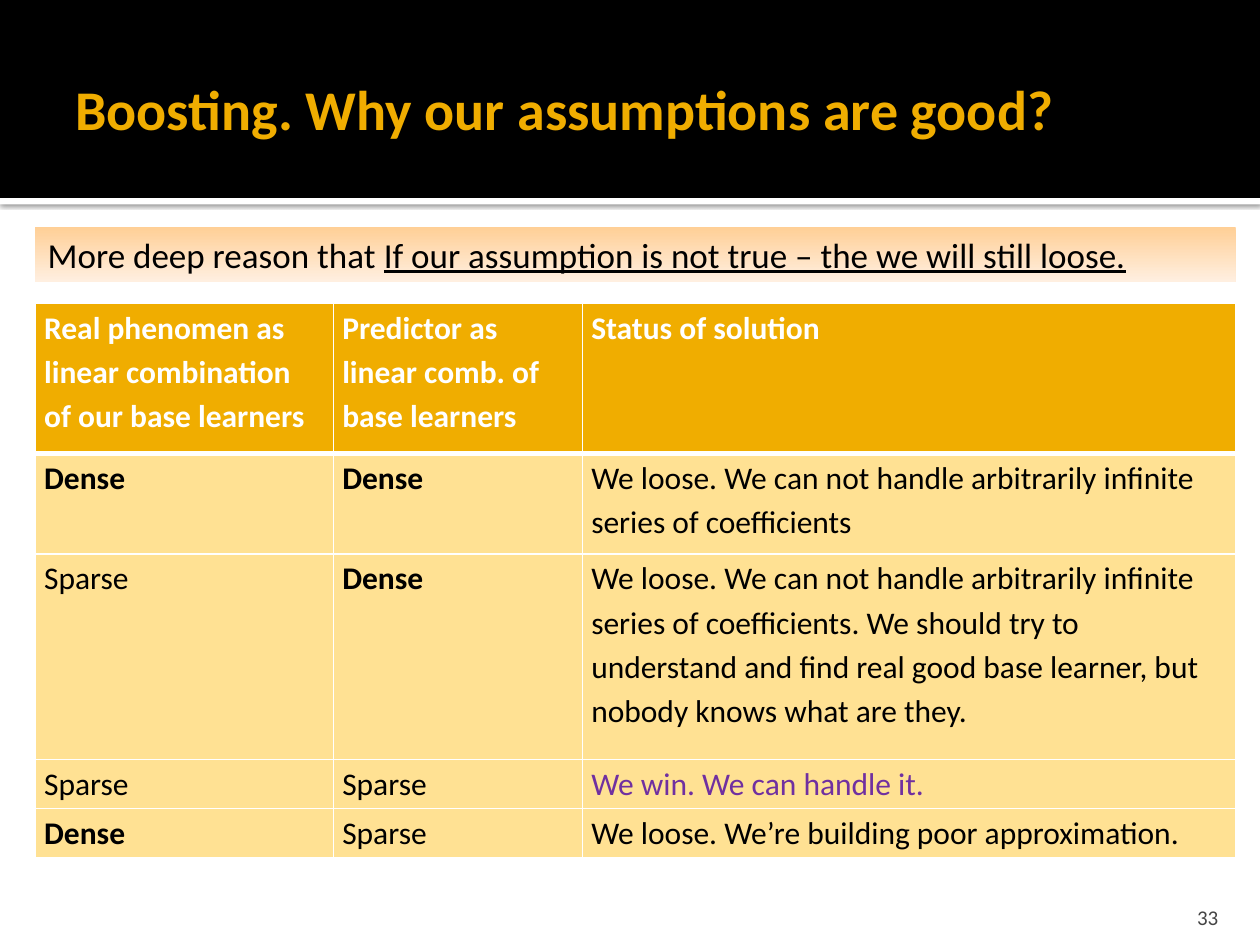
import pptx
import pptx.dml.color
import pptx.enum.shapes
import pptx.enum.text
import pptx.oxml
import pptx.util
from pptx.util import Cm, Pt

TITLE = "Boosting. Why our assumptions are good?"
REASON = [
    ("More deep reason that ", False),
    ("If our assumption is not true – the we will still loose.", True),
]
ROWS = [
    ("Real phenomen as linear combination of our base learners",
     "Predictor as linear comb. of base learners",
     "Status of solution"),
    ("Dense", "Dense",
     "We loose. We can not handle arbitrarily infinite series of coefficients"),
    ("Sparse", "Dense",
     "We loose. We can not handle arbitrarily infinite series of coefficients. "
     "We should try to understand and find real good base learner, "
     "but nobody knows what are they."),
    ("Sparse", "Sparse", "We win. We can handle it."),
    ("Dense", "Sparse", "We loose. We’re building poor approximation."),
]
WIDTHS = [6.01, 5.02, 13.17]
HEIGHTS = [3.02, 2.03, 4.14, 0.99, 0.99]
PAGE = "33"
GOLD, CREAM, WHITE, BLACK, PURPLE = "F0AD00", "FFE193", "FFFFFF", "000000", "7030A0"
WIDE, LEFT, HEAD = 25.4, 0.71, 3.99
NS = 'xmlns:a="http://schemas.openxmlformats.org/drawingml/2006/main"'
ANCHOR = pptx.enum.text.MSO_ANCHOR


def rgb(code):
    return pptx.dml.color.RGBColor.from_string(code)


def style(run, size, color, bold=False, under=False):
    font = run.font
    font.name, font.size, font.bold = "Calibri", Pt(size), bold
    font.underline = under
    font.color.rgb = rgb(color)


def bar(slide, left, top, width, height, color=None):
    kind = pptx.enum.shapes.MSO_SHAPE.RECTANGLE
    shape = slide.shapes.add_shape(kind, Cm(left), Cm(top), Cm(width), Cm(height))
    shape.shadow.inherit = False
    shape.line.fill.background()
    if color:
        shape.fill.solid()
        shape.fill.fore_color.rgb = rgb(color)
    return shape


def label(slide, box, text, size, color, anchor, bold=False):
    frame = slide.shapes.add_textbox(*map(Cm, box)).text_frame
    frame.word_wrap = True
    frame.vertical_anchor = anchor
    frame.text = text
    style(frame.paragraphs[0].runs[0], size, color, bold)
    return frame


def drop(shape):
    """Give the shape a soft shadow straight below it."""
    props = shape.fill._xPr
    props.remove(props.find("{*}effectLst"))
    props.append(pptx.oxml.parse_xml(
        f'<a:effectLst {NS}><a:outerShdw blurRad="{Pt(2.5)}" dist="{Pt(0.8)}" '
        f'dir="5400000" rotWithShape="0"><a:srgbClr val="{BLACK}">'
        '<a:alpha val="60000"/></a:srgbClr></a:outerShdw></a:effectLst>'))


def edge(cell, sizes):
    """Draw white borders; sizes maps L, R, T, B to points."""
    props = cell._tc.get_or_add_tcPr()
    for spot, (side, size) in enumerate(sizes.items()):
        props.insert(spot, pptx.oxml.parse_xml(
            f'<a:ln{side} {NS} w="{Pt(size)}"><a:solidFill>'
            f'<a:srgbClr val="{WHITE}"/></a:solidFill></a:ln{side}>'))


def grid(slide):
    frame = slide.shapes.add_table(
        len(ROWS), len(WIDTHS), Cm(LEFT), Cm(6.12), Cm(sum(WIDTHS)), Cm(sum(HEIGHTS)))
    table = frame.table
    for col, width in zip(table.columns, WIDTHS):
        col.width = Cm(width)
    for r, (row, height) in enumerate(zip(ROWS, HEIGHTS)):
        table.rows[r].height = Cm(height)
        for c, text in enumerate(row):
            cell = table.cell(r, c)
            cell.margin_left = cell.margin_right = Cm(0.18)
            cell.margin_top = cell.margin_bottom = 0
            cell.fill.solid()
            cell.fill.fore_color.rgb = rgb(CREAM if r else GOLD)
            edge(cell, {"L": 1, "R": 1, "T": 3 if r == 1 else 1, "B": 1 if r else 3})
            cell.text_frame.text = text
            para = cell.text_frame.paragraphs[0]
            para.line_spacing = 1.15
            color = WHITE if r == 0 else PURPLE if text.startswith("We win") else BLACK
            style(para.runs[0], 18, color, r == 0 or text == "Dense")


def reason(slide):
    shape = bar(slide, LEFT, 4.57, sum(WIDTHS), 1.11)
    shape.fill.gradient()
    shape.fill.gradient_angle = 270
    for stop, color in zip(shape.fill.gradient_stops, ("FFCF96", "FFEFE0")):
        stop.color.rgb = rgb(color)
    frame = shape.text_frame
    frame.word_wrap = True
    frame.vertical_anchor = ANCHOR.MIDDLE
    para = frame.paragraphs[0]
    para.alignment = pptx.enum.text.PP_ALIGN.LEFT
    for text, under in REASON:
        run = para.add_run()
        run.text = text
        style(run, 20, BLACK, under=under)


def main():
    deck = pptx.Presentation()
    deck.slide_width, deck.slide_height = Cm(WIDE), Cm(19.05)
    slide = deck.slides.add_slide(deck.slide_layouts[6])
    drop(bar(slide, 0, HEAD, WIDE, 0.13, WHITE))
    bar(slide, 0, 0, WIDE, HEAD, BLACK)
    label(slide, (1.27, 0.43, 22.86, 3.48), TITLE, 32, GOLD, ANCHOR.MIDDLE, True)
    grid(slide)
    foot = label(slide, (22.78, 17.98, 2.03, 0.76), PAGE, 12, "454545", ANCHOR.BOTTOM)
    foot.margin_bottom = 0
    foot.paragraphs[0].alignment = pptx.enum.text.PP_ALIGN.RIGHT
    reason(slide)
    deck.save("out.pptx")


if __name__ == "__main__":
    main()
